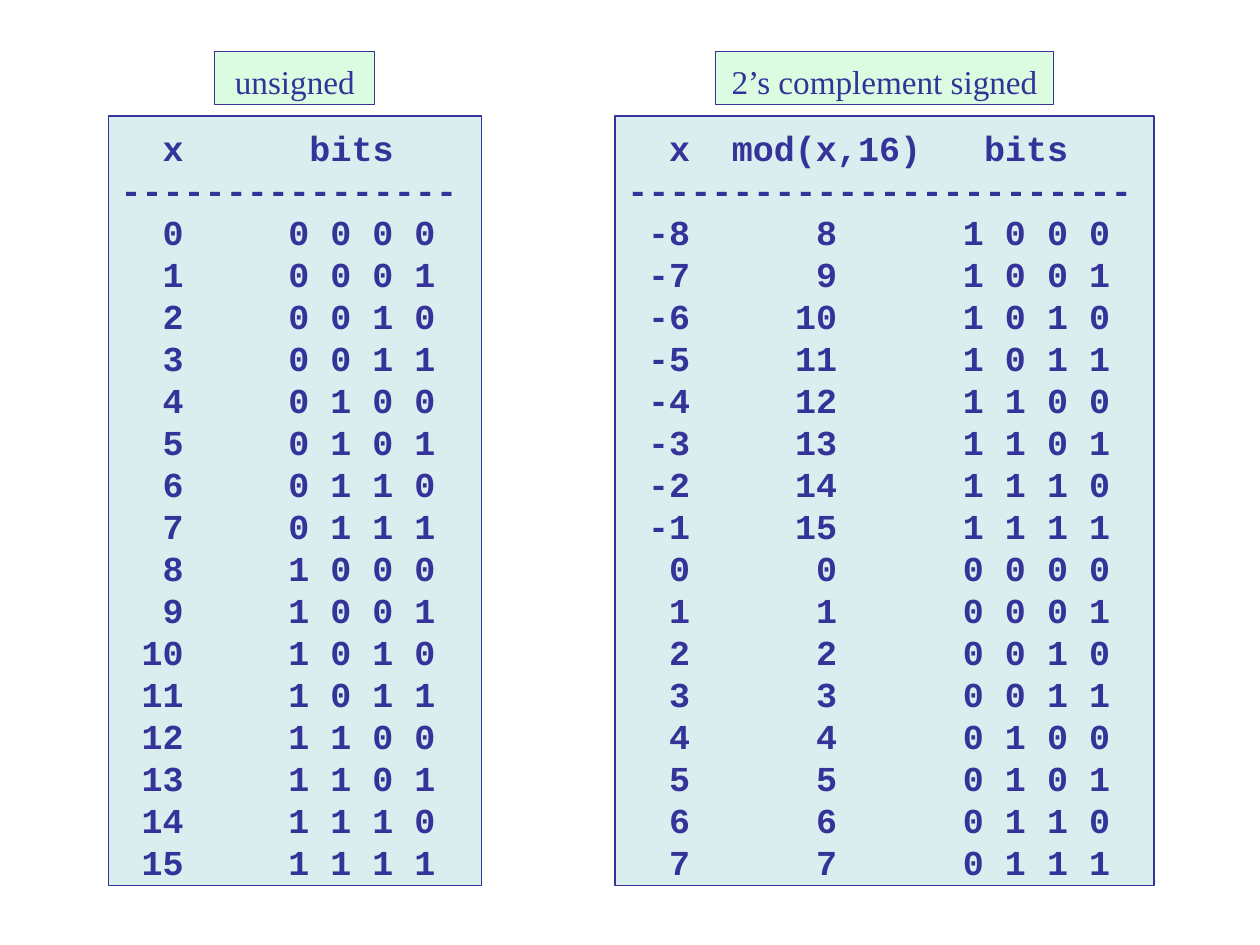
from lxml.etree import SubElement
from pptx import Presentation
from pptx.dml.color import RGBColor
from pptx.enum.shapes import MSO_SHAPE as Shape
from pptx.enum.text import MSO_ANCHOR as Anchor, MSO_AUTO_SIZE as AutoSize, PP_ALIGN as Align
from pptx.oxml.ns import qn
from pptx.util import Pt

# Column ends are counted in characters from the left edge of the text.
PANELS = [
    {
        "label": "unsigned", "label_width": 91.44,
        "left": 61.92, "width": 213.12, "rule": 16,
        "header": ("x", "bits"), "header_ends": (3, 13),
        "rows": [(x, x) for x in range(16)], "row_ends": (3, 15),
    },
    {
        "label": "2’s complement signed", "label_width": 192.96,
        "left": 351.36, "width": 308.16, "rule": 24,
        "header": ("x", "mod(x,16)", "bits"), "header_ends": (3, 14, 21),
        "rows": [(x, x % 16, x % 16) for x in range(-8, 8)], "row_ends": (3, 10, 23),
    },
]

THEME = {
    "ink": RGBColor.from_string("333399"),
    "panel": RGBColor.from_string("DAEDEF"),
    "label": RGBColor.from_string("DCFCE1"),
    "code_font": "Courier New", "code_size": 20,
    "label_font": "Times New Roman", "label_size": 19,
}
LABEL_TOP, LABEL_HEIGHT = 29.52, 30.24
PANEL_TOP, PANEL_HEIGHT = 66.24, 439.92
CHARACTER_WIDTH, LINE_HEIGHT = 12, 24


def add_box(slide, left, top, width, height, fill, inset_top, inset_bottom):
    shape = slide.shapes.add_shape(Shape.RECTANGLE, Pt(left), Pt(top), Pt(width), Pt(height))
    shape.shadow.inherit = False
    shape.fill.solid()
    shape.fill.fore_color.rgb = fill
    shape.line.color.rgb = THEME["ink"]
    shape.line.width = Pt(0.75)
    frame = shape.text_frame
    frame.word_wrap = True
    frame.auto_size = AutoSize.SHAPE_TO_FIT_TEXT
    frame.vertical_anchor = Anchor.TOP
    frame.margin_left = frame.margin_right = Pt(7.2)
    frame.margin_top, frame.margin_bottom = Pt(inset_top), Pt(inset_bottom)
    return frame


def write(paragraph, text, *, font, size, bold=False, align=Align.LEFT, spacing=None, ends=()):
    """Fill a paragraph; ends are right-aligned tab stops in characters."""
    paragraph.alignment = align
    if spacing:
        paragraph.line_spacing = Pt(spacing)
    if ends:
        tabs = SubElement(paragraph._p.get_or_add_pPr(), qn("a:tabLst"))
        for end in ends:
            SubElement(tabs, qn("a:tab"), pos=str(Pt(end * CHARACTER_WIDTH)), algn="r")
    run = paragraph.add_run()
    run.text = text
    run.font.name = font
    run.font.size = Pt(size)
    run.font.bold = bold
    run.font.color.rgb = THEME["ink"]


def tabbed(cells):
    return "".join(f"\t{cell}" for cell in cells)


def table_lines(panel):
    """Return each line of a panel with its column ends."""
    lines = [(tabbed(panel["header"]), panel["header_ends"]), ("-" * panel["rule"], ())]
    for *numbers, value in panel["rows"]:
        bits = " ".join(f"{value:04b}")
        lines.append((tabbed([*numbers, bits]), panel["row_ends"]))
    return lines


def add_panel(slide, panel):
    frame = add_box(slide, panel["left"], PANEL_TOP, panel["width"], PANEL_HEIGHT,
                    THEME["panel"], 6, 1.2)
    for index, (text, ends) in enumerate(table_lines(panel)):
        paragraph = frame.add_paragraph() if index else frame.paragraphs[0]
        write(paragraph, text, font=THEME["code_font"], size=THEME["code_size"],
              bold=True, spacing=LINE_HEIGHT, ends=ends)


def add_label(slide, panel):
    left = panel["left"] + (panel["width"] - panel["label_width"]) / 2
    frame = add_box(slide, left, LABEL_TOP, panel["label_width"], LABEL_HEIGHT,
                    THEME["label"], 5.6, 2)
    write(frame.paragraphs[0], panel["label"], font=THEME["label_font"],
          size=THEME["label_size"], align=Align.CENTER)


def main():
    presentation = Presentation()
    presentation.slide_width, presentation.slide_height = Pt(720), Pt(540)
    slide = presentation.slides.add_slide(presentation.slide_layouts[6])
    for add_part in (add_panel, add_label):
        for panel in PANELS:
            add_part(slide, panel)
    presentation.save("out.pptx")


if __name__ == "__main__":
    main()
